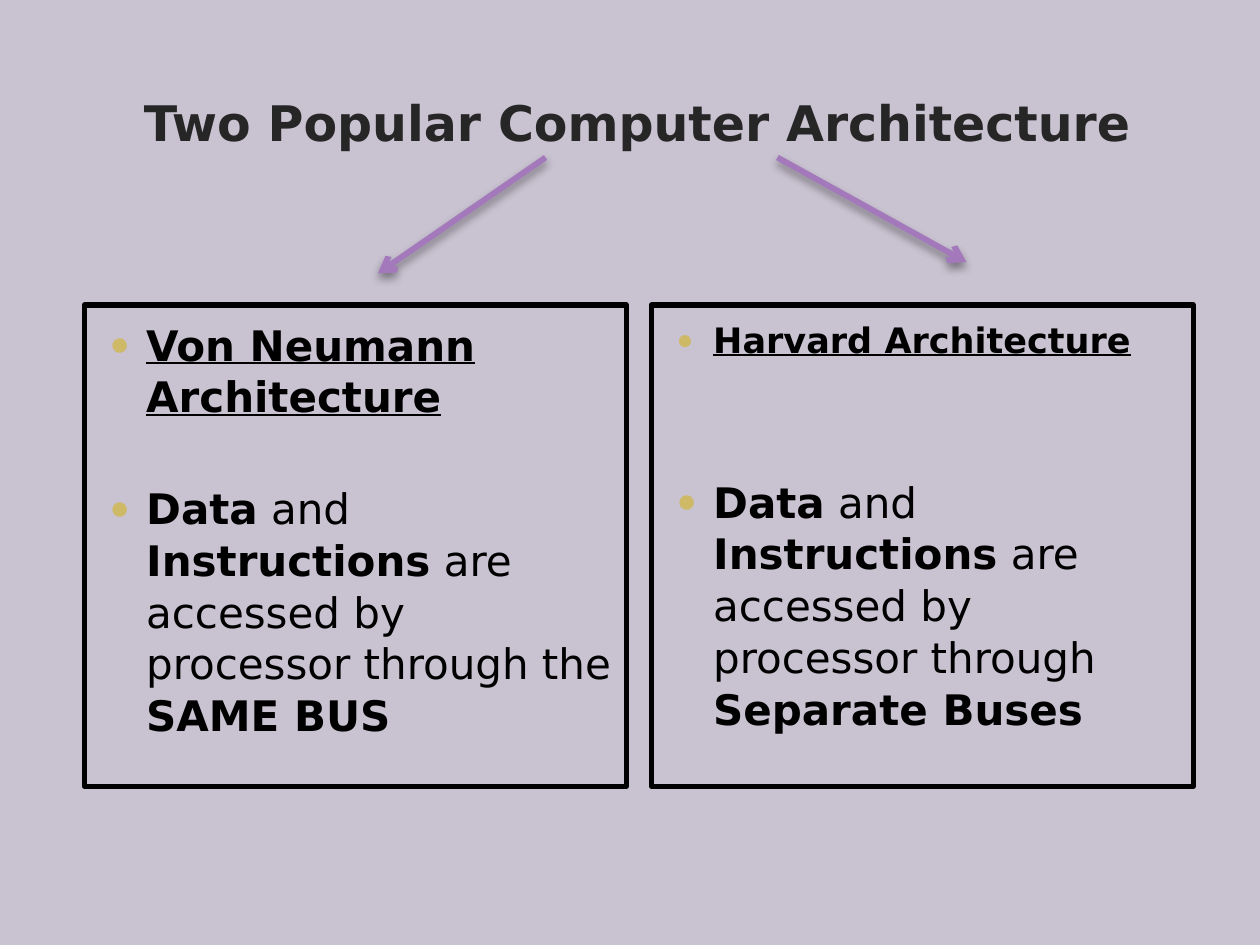
from lxml.etree import SubElement
from pptx import Presentation
from pptx.dml.color import RGBColor
from pptx.enum.shapes import MSO_CONNECTOR
from pptx.enum.text import MSO_ANCHOR, MSO_AUTO_SIZE, PP_ALIGN
from pptx.oxml.ns import qn
from pptx.util import Inches, Pt


def color(text):
    return RGBColor.from_string(text)


def node(parent, tag, **attrs):
    return SubElement(parent, qn(tag), attrs)


class Deck:
    """Holds the style and the current slide."""
    font = "DejaVu Sans"
    ink, dark, back = "000000", "262626", "C9C2D1"
    accent, gold = "A379BB", "CEB966"

    def __init__(self):
        self.prs = Presentation()
        self.prs.slide_width, self.prs.slide_height = Inches(10), Inches(7.5)
        self.slide = self.prs.slides.add_slide(self.prs.slide_layouts[3])
        fill = self.slide.background.fill
        fill.solid()
        fill.fore_color.rgb = color(self.back)

    def place(self, idx, left, top, width, height):
        shape = self.slide.placeholders[idx]
        shape.left, shape.top = Inches(left), Inches(top)
        shape.width, shape.height = Inches(width), Inches(height)
        frame = shape.text_frame
        frame.word_wrap = True
        frame.auto_size = MSO_AUTO_SIZE.NONE
        return shape, frame

    def add_run(self, para, text, size, tint, bold=True, under=False):
        run = para.add_run()
        run.text = text
        font = run.font
        font.name, font.size, font.bold = self.font, Pt(size), bold
        font.underline = under
        font.color.rgb = color(tint)

    def title(self, text):
        _, frame = self.place(0, 0.58, 0.42, 8.95, 0.83)
        frame.vertical_anchor = MSO_ANCHOR.BOTTOM
        para = frame.paragraphs[0]
        para.alignment = PP_ALIGN.CENTER
        self.add_run(para, text, 28, self.dark)

    def bullet(self, para, space):
        props = para._p.get_or_add_pPr()
        props.set("marL", str(Inches(0.29)))
        props.set("indent", str(-Inches(0.29)))
        node(node(props, "a:buClr"), "a:srgbClr", val=self.gold)
        node(props, "a:buSzPct", val="80000")
        node(props, "a:buFont", typeface="Arial")
        node(props, "a:buChar", char="●")
        para.space_before = Pt(space)
        para.line_spacing = 1.03

    def panel(self, idx, left, head, size, gap, parts):
        """Framed list: a heading, then a point whose parts alternate bold and plain."""
        shape, frame = self.place(idx, left, 2.42, 4.3, 3.82)
        shape.line.color.rgb = color(self.ink)
        shape.line.width = Pt(3)
        frame.margin_left, frame.margin_top = Inches(0.2), Inches(0.1)
        frame.margin_right, frame.margin_bottom = Inches(0.1), Inches(0.05)
        frame.vertical_anchor = MSO_ANCHOR.TOP
        para = frame.paragraphs[0]
        self.bullet(para, 2.5)
        self.add_run(para, head, size, self.ink, under=True)
        para = frame.add_paragraph()
        self.bullet(para, gap)
        for i, part in enumerate(parts):
            self.add_run(para, part, 24, self.ink, bold=i % 2 == 0)

    def arrow(self, start, end):
        line = self.slide.shapes.add_connector(
            MSO_CONNECTOR.STRAIGHT, *map(Inches, start + end))
        line.line.color.rgb = color(self.accent)
        line.line.width = Pt(3.35)
        node(line.line._get_or_add_ln(), "a:tailEnd", type="arrow")
        effects = node(line._element.spPr, "a:effectLst")
        shadow = node(effects, "a:outerShdw", blurRad=str(Pt(5.2)),
                      dist=str(Pt(3)), dir="5400000", rotWithShape="0")
        tint = node(shadow, "a:srgbClr", val=self.ink)
        node(tint, "a:alpha", val="40000")


def main():
    deck = Deck()
    deck.title("Two Popular Computer Architecture")
    lead = ["Data", " and ", "Instructions"]
    deck.panel(1, 0.67, "Von Neumann Architecture", 24, 34,
               lead + [" are accessed by processor through the ", "SAME BUS"])
    deck.panel(2, 5.17, "Harvard Architecture", 20, 65,
               lead + [" are accessed by processor through ", "Separate Buses"])
    deck.arrow((4.33, 1.25), (3, 2.17))
    deck.arrow((6.17, 1.25), (7.67, 2.08))
    deck.prs.save("out.pptx")


if __name__ == "__main__":
    main()
